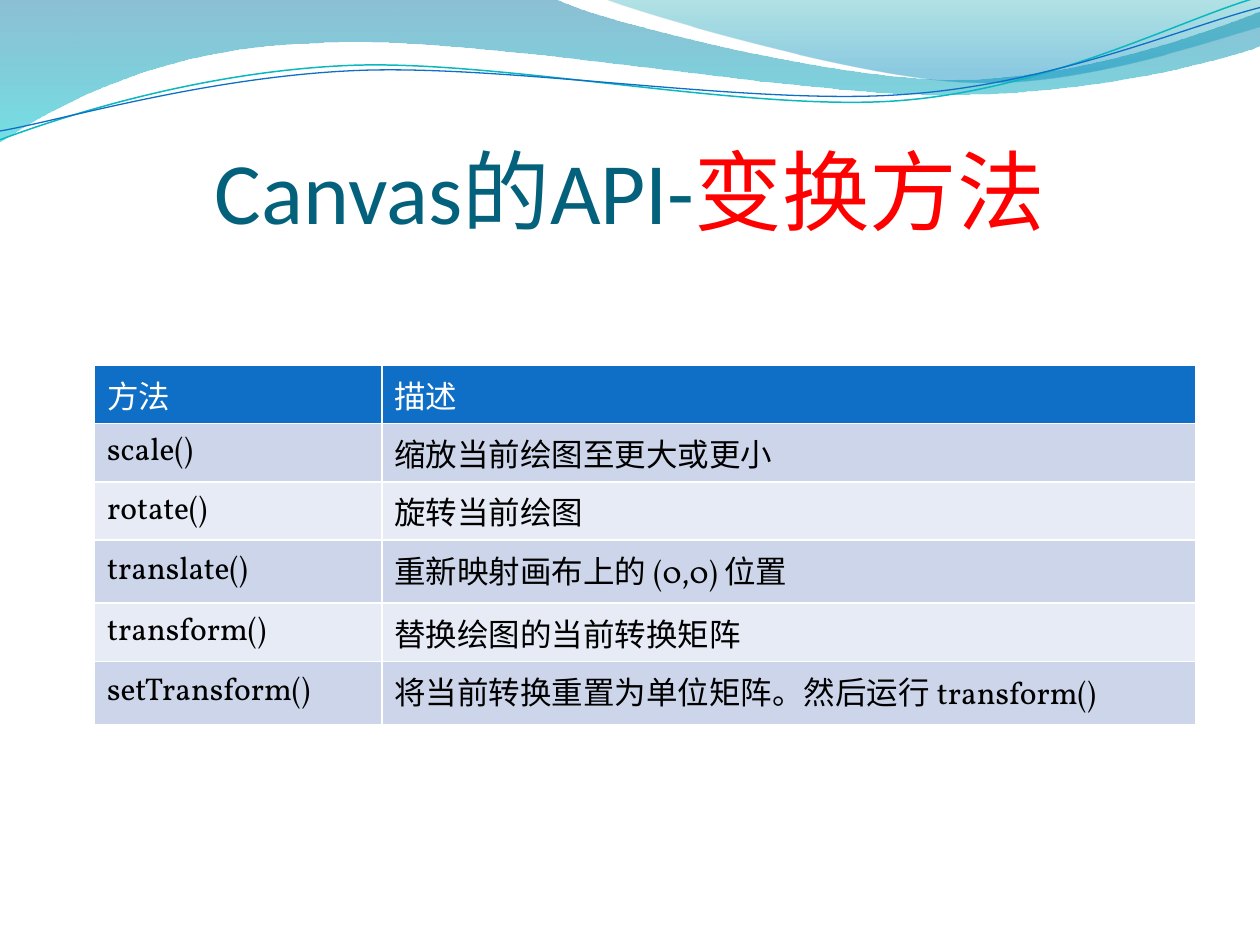
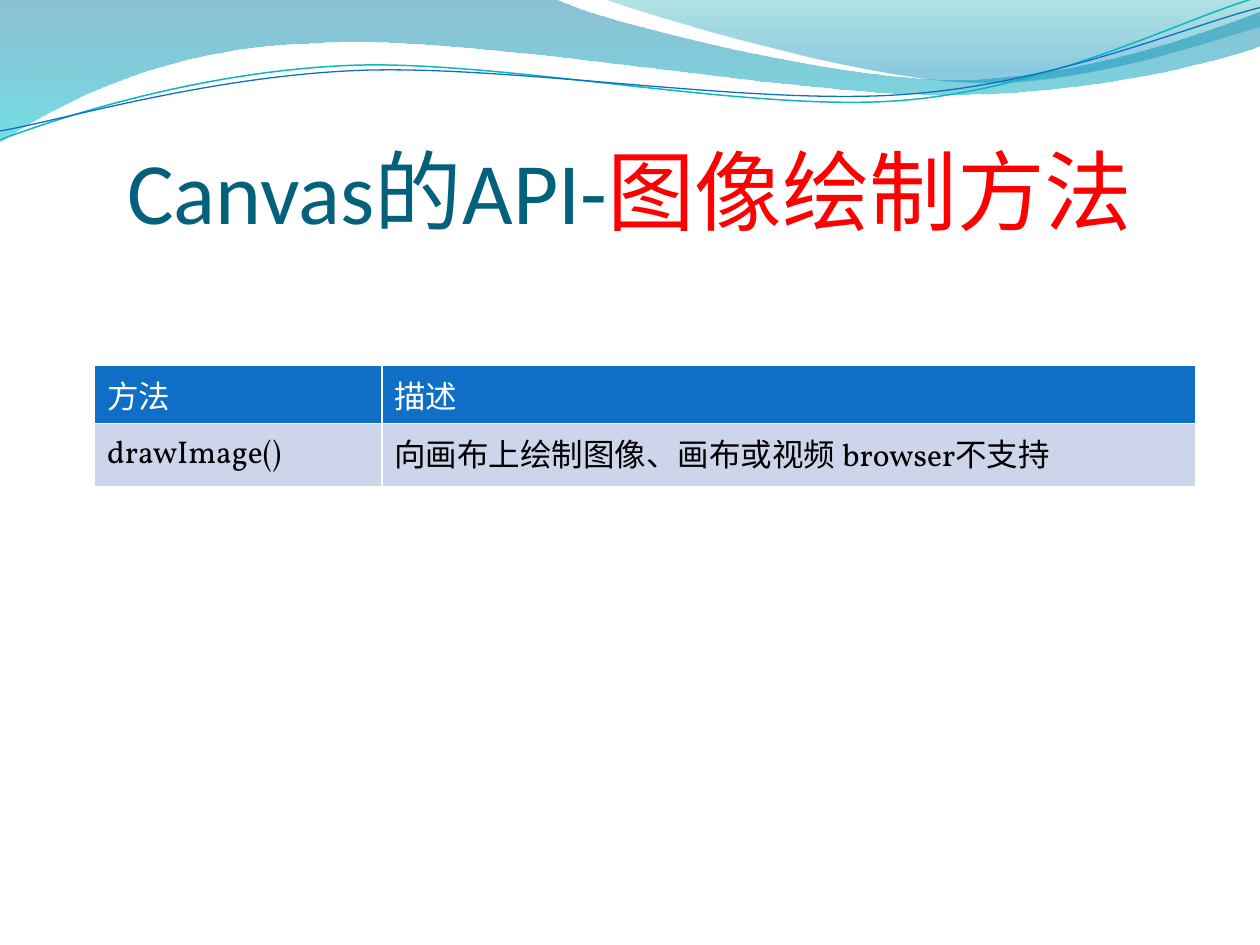
from dataclasses import dataclass

from lxml import etree
from pptx import Presentation
from pptx import util as u
from pptx.dml.color import RGBColor
from pptx.enum import text
from pptx.oxml.ns import qn


@dataclass(frozen=True)
class Theme:
    title: str = "04617B"
    accent: str = "FF0000"
    head: str = "0F6FC6"
    bands: tuple = ("CCD5EA", "E7EBF5")
    white: str = "FFFFFF"
    ink: str = "000000"
    title_font: str = "Calibri"
    body_font: str = "Vollkorn"
    title_size: int = 50
    body_size: int = 18


THEME = Theme()
TITLE_BOX = (0.5, 0.75, 9, 1.17)
TABLE_BOX = (0.75, 2.9, 8.74, 0.41)
NAME_COL = 2.28

# Each outline is a start point, then lines (x, y) and curves (three points).
BANDS = [
    ([(0, 0), (4.4, -0.01), (4.76, 0.17, 6.64, 0.63, 7.58, 0.63),
      (8.53, 0.63, 9.58, 0.26, 10, 0.09), (10.01, 0.36),
      (9.83, 0.44, 8.7, 0.76, 7.46, 0.75), (6.22, 0.75, 3.82, 0.28, 2.57, 0.34),
      (1.29, 0.36, 0.46, 0.83, -0.01, 1.13), (0, 0)],
     [(0, "0074A1", 45), (1, "00C6CF", 55)]),
    ([(4.79, -0.01), (5.09, 0.11, 6.82, 0.62, 7.69, 0.65),
      (8.56, 0.69, 9.61, 0.32, 10, 0.21), (10, 0), (4.79, -0.01)],
     [(0, "00A1A9", 30), (0.8, "008BBF", 45)]),
]
WAVES = [
    ([(0, 1.11), (0.48, 0.93, 1.58, 0.57, 2.77, 0.52),
      (3.95, 0.47, 5.93, 0.89, 7.13, 0.8), (8.33, 0.71, 9.38, 0.15, 9.98, -0.02)],
     "0AB8BF", 0.85),
    ([(0, 1.04), (0.47, 0.96, 1.64, 0.61, 2.83, 0.56),
      (4.03, 0.51, 5.97, 0.84, 7.17, 0.75), (8.36, 0.67, 9.41, 0.21, 10, 0.06)],
     "0F6FC6", 0.75),
]
SLIDES = [
    ("变换方法", [
        ("scale()", "缩放当前绘图至更大或更小"),
        ("rotate()", "旋转当前绘图"),
        ("translate()", "重新映射画布上的 (0,0) 位置"),
        ("transform()", "替换绘图的当前转换矩阵"),
        ("setTransform()", "将当前转换重置为单位矩阵。然后运行 transform()"),
    ]),
    ("图像绘制方法", [("drawImage()", "向画布上绘制图像、画布或视频 browser不支持")]),
]


def rgb(code):
    return RGBColor.from_string(code)


def style(font, code, **values):
    font.color.rgb = rgb(code)
    for key, value in values.items():
        setattr(font, key, value)


def bend(shape, outline):
    """Join each three points of a curve into one Bezier segment."""
    lines = iter(list(shape.element.iter(qn("a:lnTo"))))
    for part in outline[1:]:
        line = next(lines)
        if len(part) == 2:
            continue
        curve = etree.Element(qn("a:cubicBezTo"))
        line.addprevious(curve)
        for node in (line, next(lines), next(lines)):
            curve.append(node[0])
            node.getparent().remove(node)


def draw(shapes, outline, close):
    first, *rest = [(u.Inches(part[i]), u.Inches(part[i + 1]))
                    for part in outline for i in range(0, len(part), 2)]
    pen = shapes.build_freeform(*first)
    pen.add_line_segments(rest, close=close)
    shape = pen.convert_to_shape()
    bend(shape, outline)
    shape.shadow.inherit = False
    return shape


def add_band(shapes, outline, stops):
    band = draw(shapes, outline, True)
    band.line.fill.background()
    band.fill.gradient()
    band.fill.gradient_angle = 270
    for stop, (place, code, _) in zip(band.fill.gradient_stops, stops):
        stop.position = place
        stop.color.rgb = rgb(code)
    for tint, (_, _, alpha) in zip(band.element.iter(qn("a:srgbClr")), stops):
        etree.SubElement(tint, qn("a:alpha"), val=str(alpha * 1000))
    return band


def add_wave(shapes, outline, code, width):
    wave = draw(shapes, outline, False)
    wave.fill.background()
    wave.line.color.rgb = rgb(code)
    wave.line.width = u.Pt(width)
    return wave


def dress(layout, slide):
    """Draw the header once and move it behind everything on the layout."""
    parts = [add_band(slide.shapes, *band) for band in BANDS]
    parts += [add_wave(slide.shapes, *wave) for wave in WAVES]
    for i, part in enumerate(parts, 2):
        part.element.nvSpPr.cNvPr.id = 20 + i
        layout.shapes.element.insert(i, part.element)


def set_title(slide, topic, box):
    title = slide.shapes.title
    for key, value in zip(("left", "top", "width", "height"), box):
        setattr(title, key, u.Inches(value))
    frame = title.text_frame
    look = dict(margin_left=0, margin_right=0, margin_bottom=0, word_wrap=True,
                margin_top=u.Inches(0.05), vertical_anchor=text.MSO_ANCHOR.BOTTOM)
    for key, value in look.items():
        setattr(frame, key, value)
    line = frame.paragraphs[0]
    line.alignment = text.PP_ALIGN.CENTER
    for words, code in (("Canvas的API-", THEME.title), (topic, THEME.accent)):
        run = line.add_run()
        run.text = words
        style(run.font, code, size=u.Pt(THEME.title_size), name=THEME.title_font)


def add_edges(cell):
    props = cell._tc.get_or_add_tcPr()
    for i, side in enumerate("LRTB"):
        edge = etree.Element(qn(f"a:ln{side}"), w=str(u.Pt(1)))
        fill = etree.SubElement(edge, qn("a:solidFill"))
        etree.SubElement(fill, qn("a:srgbClr"), val=THEME.white)
        props.insert(i, edge)


def fill_cell(cell, words, row):
    head = row == 0
    cell.text = words
    cell.vertical_anchor = text.MSO_ANCHOR.MIDDLE
    cell.fill.solid()
    cell.fill.fore_color.rgb = rgb(THEME.head if head else THEME.bands[(row - 1) % 2])
    style(cell.text_frame.paragraphs[0].runs[0].font,
          THEME.white if head else THEME.ink,
          size=u.Pt(THEME.body_size), name=THEME.body_font, bold=False)
    add_edges(cell)


def add_methods(slide, rows, box):
    left, top, width, step = box
    rows = [("方法", "描述"), *rows]
    sizes = [u.Inches(v) for v in (left, top, width, step * len(rows))]
    table = slide.shapes.add_table(len(rows), 2, *sizes).table
    table.first_row = table.horz_banding = False
    for col, span in zip(table.columns, (NAME_COL, width - NAME_COL)):
        col.width = u.Inches(span)
    for r, row in enumerate(rows):
        table.rows[r].height = u.Inches(step)
        for c, words in enumerate(row):
            fill_cell(table.cell(r, c), words, r)


def main():
    deck = Presentation()
    deck.slide_width, deck.slide_height = u.Inches(10), u.Inches(7.5)
    layout = deck.slide_layouts.get_by_name("Title Only")
    for topic, rows in SLIDES:
        slide = deck.slides.add_slide(layout)
        set_title(slide, topic, TITLE_BOX)
        add_methods(slide, rows, TABLE_BOX)
    dress(layout, deck.slides[0])
    deck.save("out.pptx")


if __name__ == "__main__":
    main()
